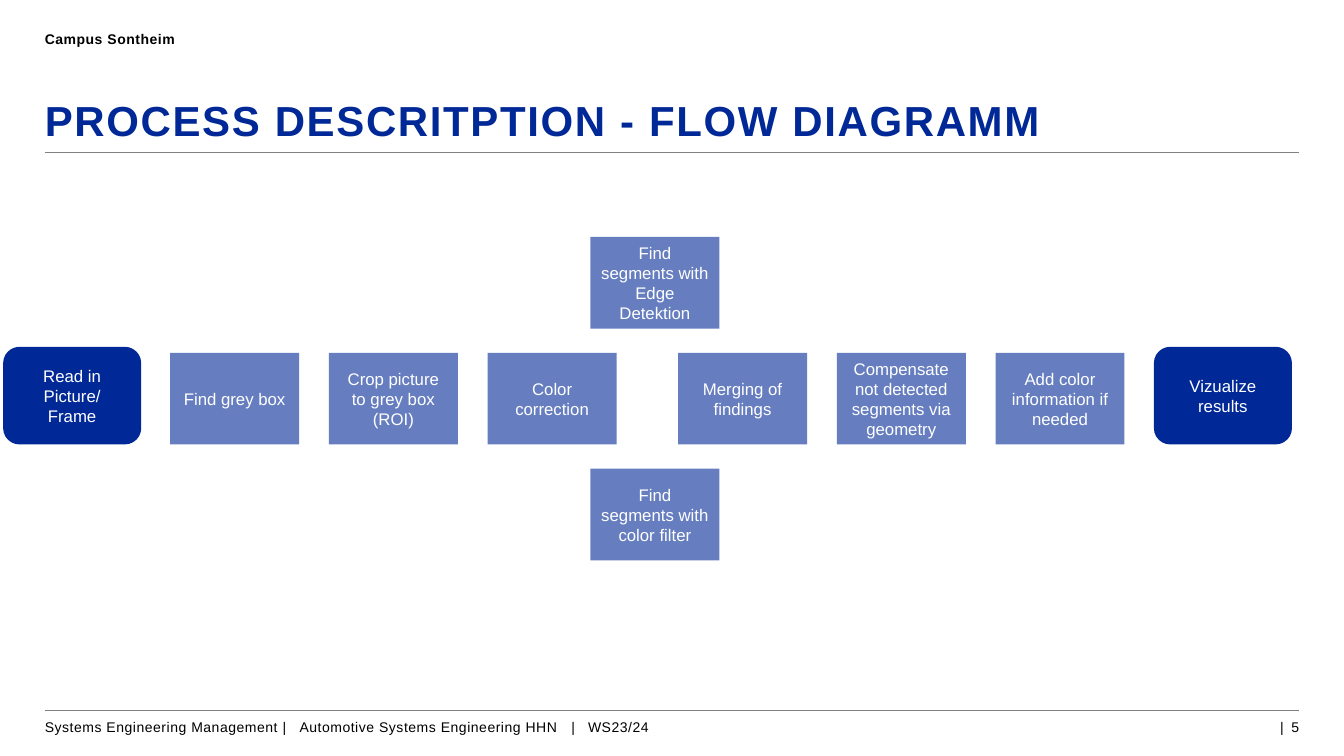
import pptx
import pptx.dml.color
import pptx.enum.shapes
import pptx.enum.text
import pptx.oxml
import pptx.oxml.ns
import pptx.util
from dataclasses import dataclass
from pptx.enum.shapes import MSO_SHAPE
from pptx.enum.text import MSO_ANCHOR, PP_ALIGN
from pptx.util import Cm

COLORS = {"navy": "002896", "blue": "667EC0", "grey": "808080",
          "black": "000000", "white": "FFFFFF"}
PITCH, STEP_W, STEP_H, STEP_TOP = 4.0, 3.25, 2.31, 8.89
BRANCH_X, BRANCH_SHIFT = 14.88, 2.92
END_W, END_H, END_TOP = 3.48, 2.46, 8.74


@dataclass
class Step:
    text: str
    left: float
    top: float = STEP_TOP
    width: float = STEP_W
    height: float = STEP_H
    kind: MSO_SHAPE = MSO_SHAPE.RECTANGLE
    fill: str = "blue"


@dataclass
class Label:
    text: str
    left: float
    top: float
    width: float
    height: float = 0.61
    size: float = 10
    color: str = "black"
    bold: bool = False
    spacing: float = 0.4
    align: PP_ALIGN = PP_ALIGN.LEFT
    line_spacing: float = 1.0
    tabs: tuple[float, ...] = ()


def rgb(name: str) -> pptx.dml.color.RGBColor:
    return pptx.dml.color.RGBColor.from_string(COLORS[name])


def add_run(p, text: str, size: float, color: str, bold: bool = False):
    r = p.add_run()
    r.text = text
    r.font.name = "Arial"
    r.font.size = pptx.util.Pt(size)
    r.font.bold = bold
    r.font.color.rgb = rgb(color)
    return r


def add_step(s, step: Step) -> None:
    sp = s.shapes.add_shape(step.kind, Cm(step.left), Cm(step.top),
                            Cm(step.width), Cm(step.height))
    sp.shadow.inherit = False
    sp.fill.solid()
    sp.fill.fore_color.rgb = rgb(step.fill)
    sp.line.fill.background()
    tf = sp.text_frame
    tf.word_wrap = True
    tf.vertical_anchor = MSO_ANCHOR.MIDDLE
    p = tf.paragraphs[0]
    p.alignment = PP_ALIGN.CENTER
    add_run(p, step.text, 12, "white")


def add_label(s, label: Label) -> None:
    tf = s.shapes.add_textbox(Cm(label.left), Cm(label.top),
                              Cm(label.width), Cm(label.height)).text_frame
    tf.word_wrap = True
    tf.margin_left = tf.margin_top = tf.margin_right = tf.margin_bottom = 0
    p = tf.paragraphs[0]
    p.alignment = label.align
    p.line_spacing = label.line_spacing
    if label.tabs:
        tab_list = pptx.oxml.ns.qn("a:tabLst")
        tabs = p._p.get_or_add_pPr().makeelement(tab_list, {})
        p._p.pPr.append(tabs)
        for pos in label.tabs:
            tabs.append(tabs.makeelement(pptx.oxml.ns.qn("a:tab"),
                                         {"pos": str(Cm(pos)), "algn": "l"}))
    r = add_run(p, label.text, label.size, label.color, label.bold)
    r._r.get_or_add_rPr().set("spc", str(round(label.spacing * 100)))


def add_rule(s, top: float) -> None:
    line = s.shapes.add_connector(pptx.enum.shapes.MSO_CONNECTOR.STRAIGHT,
                                  Cm(1.13), Cm(top), Cm(32.74), Cm(top))
    line.line.color.rgb = rgb("grey")
    line.line.width = pptx.util.Pt(0.5)
    sp_pr = line._element.spPr
    sp_pr.append(sp_pr.makeelement(pptx.oxml.ns.qn("a:effectLst"), {}))


def main() -> None:
    """Build the flow diagram slide."""
    prs = pptx.Presentation()
    prs.slide_width, prs.slide_height = Cm(33.87), Cm(19.05)
    s = prs.slides.add_slide(prs.slide_layouts[6])

    for top in (17.91, 3.84):
        add_rule(s, top)

    labels = [
        Label("Campus Sontheim", 1.13, 0.76, 20.5, bold=True),
        Label("Systems Engineering Management |\tAutomotive Systems Engineering HHN\t|\tWS23/24",
              1.13, 18.11, 20.5, tabs=(6.42, 13.27, 13.69)),
        Label("| 5", 27.46, 18.11, 5.28, spacing=1.4, align=PP_ALIGN.RIGHT),
        Label("PROCESS DESCRITPTION - FLOW DIAGRAMM", 1.13, 2.49, 31.6, 1.35,
              size=30, color="navy", bold=True, spacing=1.2, line_spacing=0.94),
    ]
    for label in labels:
        add_label(s, label)

    ends = [("Read in Picture/ Frame", 0.08), ("Vizualize results", 29.08)]
    steps = [Step(text, left, END_TOP, END_W, END_H, MSO_SHAPE.ROUNDED_RECTANGLE, "navy")
             for text, left in ends]
    rows = [
        (4.29, ["Find grey box", "Crop picture to grey box (ROI)", "Color correction"]),
        (17.09, ["Merging of findings", "Compensate not detected segments via geometry",
                 "Add color information if needed"]),
    ]
    steps += [Step(text, left + i * PITCH)
              for left, texts in rows for i, text in enumerate(texts)]
    steps += [
        Step("Find segments with Edge Detektion", BRANCH_X, STEP_TOP - BRANCH_SHIFT),
        Step("Find segments with color filter", BRANCH_X, STEP_TOP + BRANCH_SHIFT),
    ]
    for step in steps:
        add_step(s, step)

    prs.save("out.pptx")


if __name__ == "__main__":
    main()
